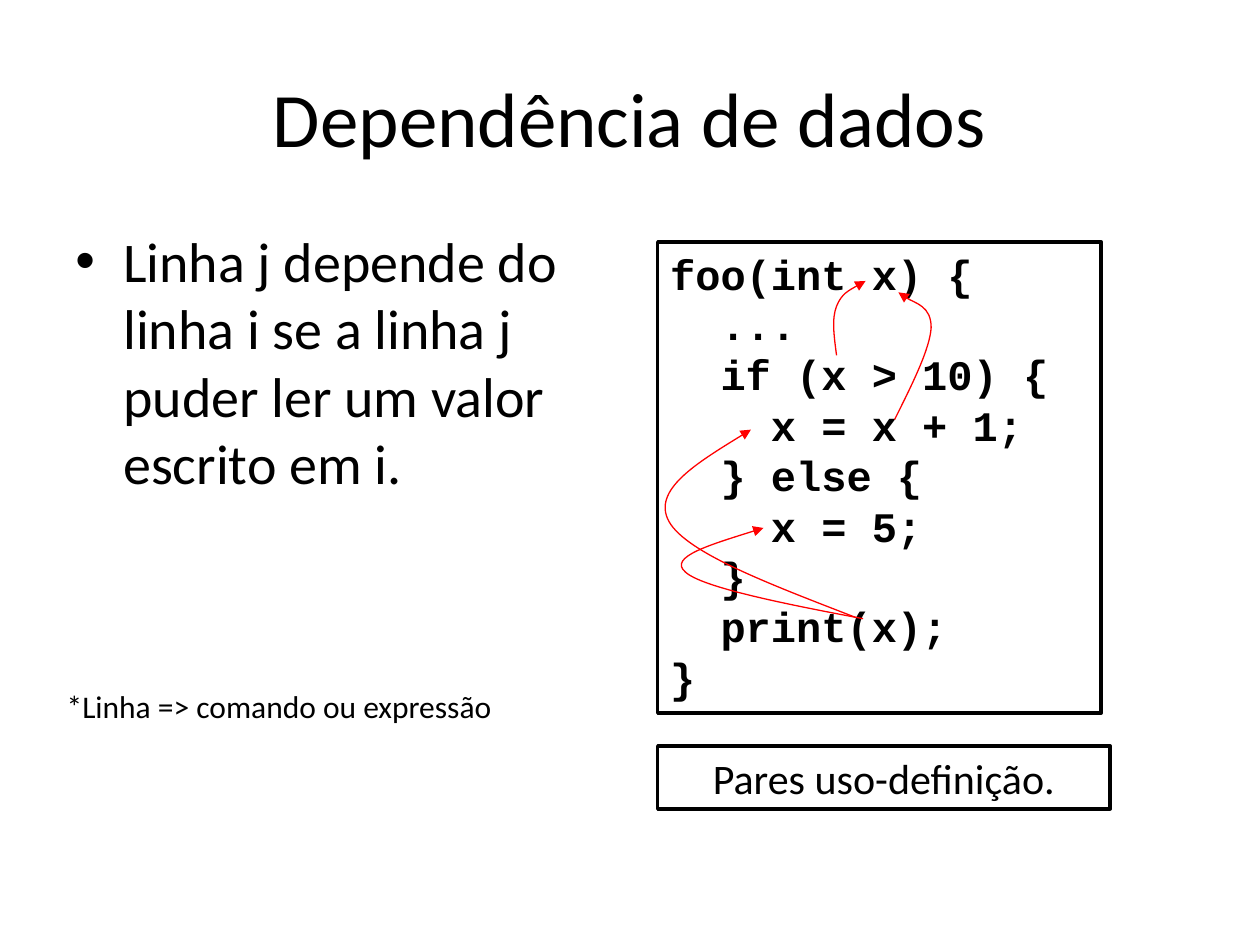
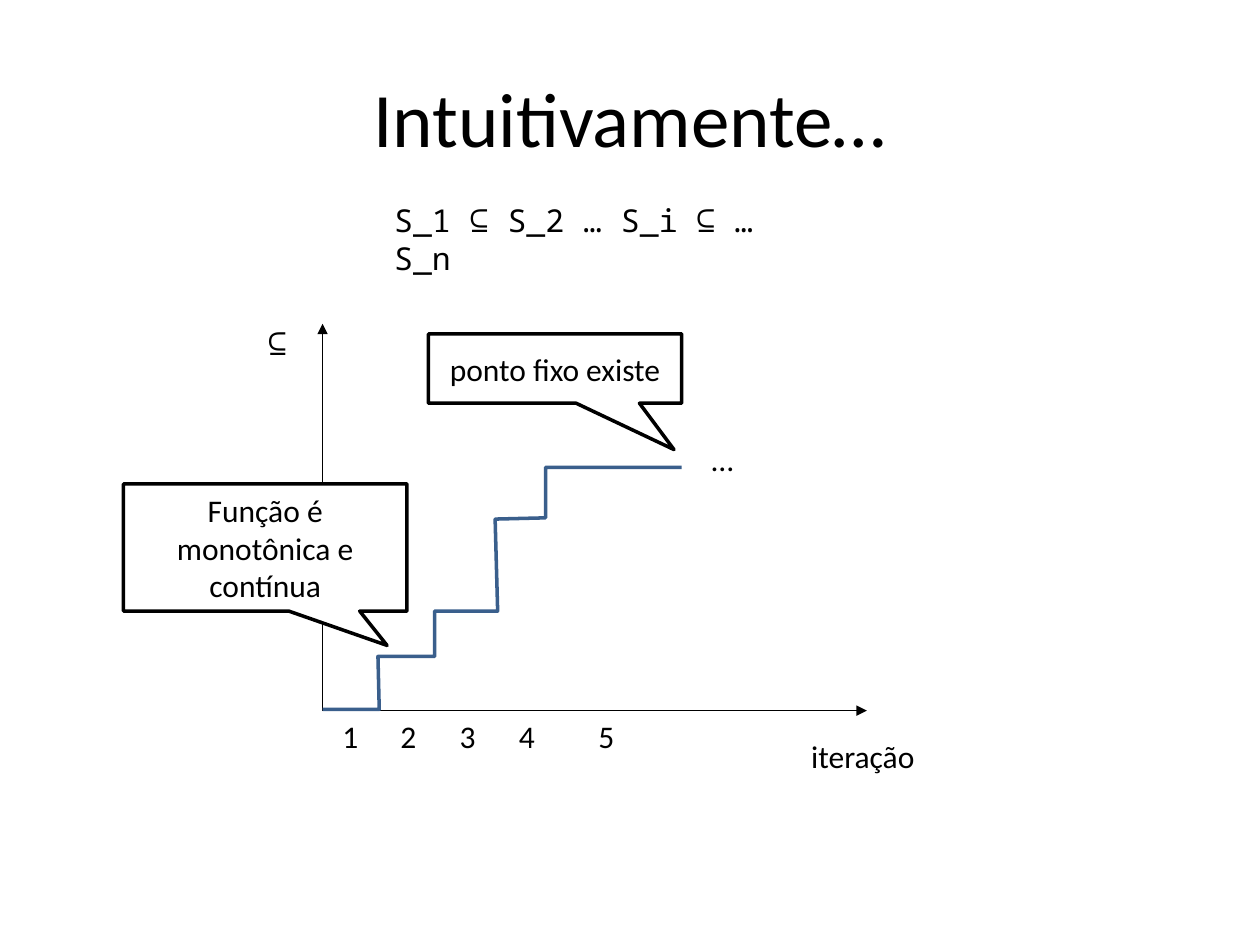
from lxml import etree
from pptx import Presentation
from pptx.dml.color import RGBColor
from pptx.enum.shapes import MSO_CONNECTOR, MSO_SHAPE
from pptx.enum.text import MSO_ANCHOR, PP_ALIGN
from pptx.oxml.ns import qn
from pptx.util import Inches, Pt

LEFT, CENTER = PP_ALIGN.LEFT, PP_ALIGN.CENTER
TOP, MIDDLE = MSO_ANCHOR.TOP, MSO_ANCHOR.MIDDLE
RECTANGLE, CALLOUT = MSO_SHAPE.RECTANGLE, MSO_SHAPE.RECTANGULAR_CALLOUT
STRAIGHT = MSO_CONNECTOR.STRAIGHT
COLORS = {"ink": "000000", "paper": "FFFFFF", "dependence": "FF0000", "steps": "3A5F8C"}
BODY_FONT, CODE_FONT, SYMBOL_FONT = "Calibri", "Courier New", "Noto Sans Mono"
CODE_INDENT = 0.4

# Each code line: nesting level and text
CODE = [
    (0, "foo(int x) {"),
    (1, "..."),
    (1, "if (x > 10) {"),
    (2, "x = x + 1;"),
    (1, "} else {"),
    (2, "x = 5;"),
    (1, "}"),
    (1, "print(x);"),
    (0, "}"),
]
# Start point, then three points per Bézier segment, from the code box corner
USE_TO_DEFINITION = [
    [(1.42, 0.9), (1.4, 0.75), (1.38, 0.61), (1.42, 0.51),
     (1.46, 0.41), (1.56, 0.36), (1.65, 0.31)],
    [(1.88, 1.41), (2.02, 1.13), (2.16, 0.85), (2.17, 0.68),
     (2.17, 0.51), (1.95, 0.45), (1.91, 0.4)],
    [(1.57, 2.98), (0.9, 2.72), (0.23, 2.47), (0.09, 2.22),
     (-0.05, 1.97), (0.35, 1.73), (0.74, 1.49)],
    [(1.63, 2.99), (0.99, 2.87), (0.35, 2.74), (0.22, 2.62),
     (0.08, 2.5), (0.46, 2.39), (0.84, 2.27)],
]
# Staircase corners: right of and above the origin of the axes
STEPS = [(0, 0.01), (0.45, 0.01), (0.44, 0.43), (0.89, 0.43), (0.89, 0.79),
         (1.39, 0.79), (1.37, 1.52), (1.77, 1.53), (1.77, 1.93), (2.85, 1.93)]
ITERATION_TABS = [0.46, 0.93, 1.4, 2.03]


def rgb(name):
    return RGBColor.from_string(COLORS[name])


def write(shape, lines, size, font=BODY_FONT, bold=False, align=LEFT, anchor=TOP, wrap=True):
    """Fill a shape with one paragraph per line and return the paragraphs."""
    frame = shape.text_frame
    frame.word_wrap = wrap
    frame.vertical_anchor = anchor
    font_values = {"name": font, "size": Pt(size), "bold": bold}
    for index, line in enumerate(lines):
        paragraph = frame.add_paragraph() if index else frame.paragraphs[0]
        paragraph.alignment = align
        run = paragraph.add_run()
        run.text = line
        for name, value in font_values.items():
            setattr(run.font, name, value)
        run.font.color.rgb = rgb("ink")
    return frame.paragraphs


def add_text(slide, box, text, size, **text_format):
    shape = slide.shapes.add_textbox(*map(Inches, box))
    return write(shape, [text], size, **text_format)[0]


def add_label(slide, box, text, **text_format):
    return add_text(slide, box, text, 18, wrap=False, **text_format)


def add_box(slide, kind, box, lines, size, **text_format):
    shape = slide.shapes.add_shape(kind, *map(Inches, box))
    shape.shadow.inherit = False
    shape.fill.solid()
    shape.fill.fore_color.rgb = rgb("paper")
    style_line(shape, "ink", 2)
    write(shape, lines, size, **text_format)
    return shape


def add_callout(slide, box, text, pointer):
    callout = add_box(slide, CALLOUT, box, [text], 18, align=CENTER, anchor=MIDDLE)
    for index, value in enumerate(pointer):
        callout.adjustments[index] = value


def style_line(shape, color, width, arrow=False):
    shape.line.color.rgb = rgb(color)
    shape.line.width = Pt(width)
    if arrow:
        etree.SubElement(shape.line._get_or_add_ln(), qn("a:tailEnd"), type="triangle")


def add_outline(slide, left, top, points, color, width, arrow=False):
    """Draw an open, unfilled line through points given from (left, top)."""
    start, *rest = [(Inches(left + x), Inches(top + y)) for x, y in points]
    builder = slide.shapes.build_freeform(*start)
    builder.add_line_segments(rest, close=False)
    shape = builder.convert_to_shape()
    shape.shadow.inherit = False
    shape.fill.background()
    style_line(shape, color, width, arrow)
    return shape


def bend(shape):
    """Turn every three line segments of a freeform into one Bézier curve."""
    segments = list(shape._element.iter(qn("a:lnTo")))
    for first in range(0, len(segments), 3):
        curve = etree.Element(qn("a:cubicBezTo"))
        segments[first].addprevious(curve)
        for segment in segments[first:first + 3]:
            curve.append(segment[0])
            segment.getparent().remove(segment)


def add_axis(slide, left, top, right, bottom):
    axis = slide.shapes.add_connector(STRAIGHT, *map(Inches, (left, top, right, bottom)))
    style_line(axis, "ink", 0.75, arrow=True)
    etree.SubElement(axis._element.spPr, qn("a:effectLst"))


def add_titled_slide(presentation, title):
    slide = presentation.slides.add_slide(presentation.slide_layouts[6])
    add_text(slide, (0.5, 0.3, 9, 1.25), title, 44, align=CENTER, anchor=MIDDLE)
    return slide


def add_bullet(slide, box, text):
    paragraph = add_text(slide, box, text, 32)
    paragraph.space_before = Pt(6.4)
    properties = paragraph._p.get_or_add_pPr()
    properties.set("marL", str(Inches(0.38)))
    properties.set("indent", str(Inches(-0.38)))
    etree.SubElement(properties, qn("a:buFont"), typeface="Arial")
    etree.SubElement(properties, qn("a:buChar"), char="•")


def add_code(slide, left, top, width, height):
    box = add_box(slide, RECTANGLE, (left, top, width, height), [text for _, text in CODE],
                  24, font=CODE_FONT, bold=True)
    for paragraph, (level, _) in zip(box.text_frame.paragraphs, CODE):
        paragraph._p.get_or_add_pPr().set("marL", str(Inches(level * CODE_INDENT)))
    for points in USE_TO_DEFINITION:
        bend(add_outline(slide, left, top, points, "dependence", 0.75, arrow=True))


def add_iteration_numbers(slide, box):
    paragraph = add_label(slide, box, "1\t2\t3\t4\t5")
    tabs = etree.SubElement(paragraph._p.get_or_add_pPr(), qn("a:tabLst"))
    for position in ITERATION_TABS:
        etree.SubElement(tabs, qn("a:tab"), pos=str(Inches(position)), algn="l")


def add_growth_diagram(slide, left, top, width, height):
    """Draw the axes, the staircase and their labels."""
    bottom = top + height
    add_axis(slide, left, bottom, left, top)
    add_axis(slide, left, bottom, left + width, bottom)
    add_label(slide, (left + 3.78, bottom + 0.16, 1.03, 0.4), "iteração")
    add_label(slide, (left - 0.53, top - 0.05, 0.39, 0.4), "⊆", font=SYMBOL_FONT)
    add_outline(slide, left, bottom, [(x, -y) for x, y in STEPS], "steps", 2)
    add_label(slide, (left + 2.99, top + 0.87, 0.38, 0.4), "…")
    add_callout(slide, (left + 0.84, top + 0.08, 2.01, 0.55), "ponto fixo existe", (0.47, 1.17))
    add_callout(slide, (left - 1.58, top + 1.27, 2.25, 1.01),
                "Função é monotônica e contínua", (0.43, 0.77))
    add_iteration_numbers(slide, (left + 0.06, bottom, 2.46, 0.4))


def add_dependence_slide(presentation):
    slide = add_titled_slide(presentation, "Dependência de dados")
    add_bullet(slide, (0.5, 1.75, 4.8, 4.95),
               "Linha j depende do linha i se a linha j puder ler um valor escrito em i.")
    add_code(slide, 5.22, 1.92, 3.52, 3.74)
    add_box(slide, RECTANGLE, (5.22, 5.92, 3.59, 0.5), ["Pares uso-definição."], 24, align=CENTER)
    add_label(slide, (0.43, 5.4, 3.62, 0.4), "*Linha => comando ou expressão")


def add_intuition_slide(presentation):
    slide = add_titled_slide(presentation, "Intuitivamente…")
    add_growth_diagram(slide, 2.56, 2.57, 4.32, 3.07)
    add_text(slide, (3.03, 1.55, 3.61, 0.4), "S_1 ⊆ S_2 … S_i ⊆ … S_n", 18, font=SYMBOL_FONT)


def main():
    presentation = Presentation()
    presentation.slide_width, presentation.slide_height = Inches(10), Inches(7.5)
    add_dependence_slide(presentation)
    add_intuition_slide(presentation)
    presentation.save("out.pptx")


if __name__ == "__main__":
    main()
